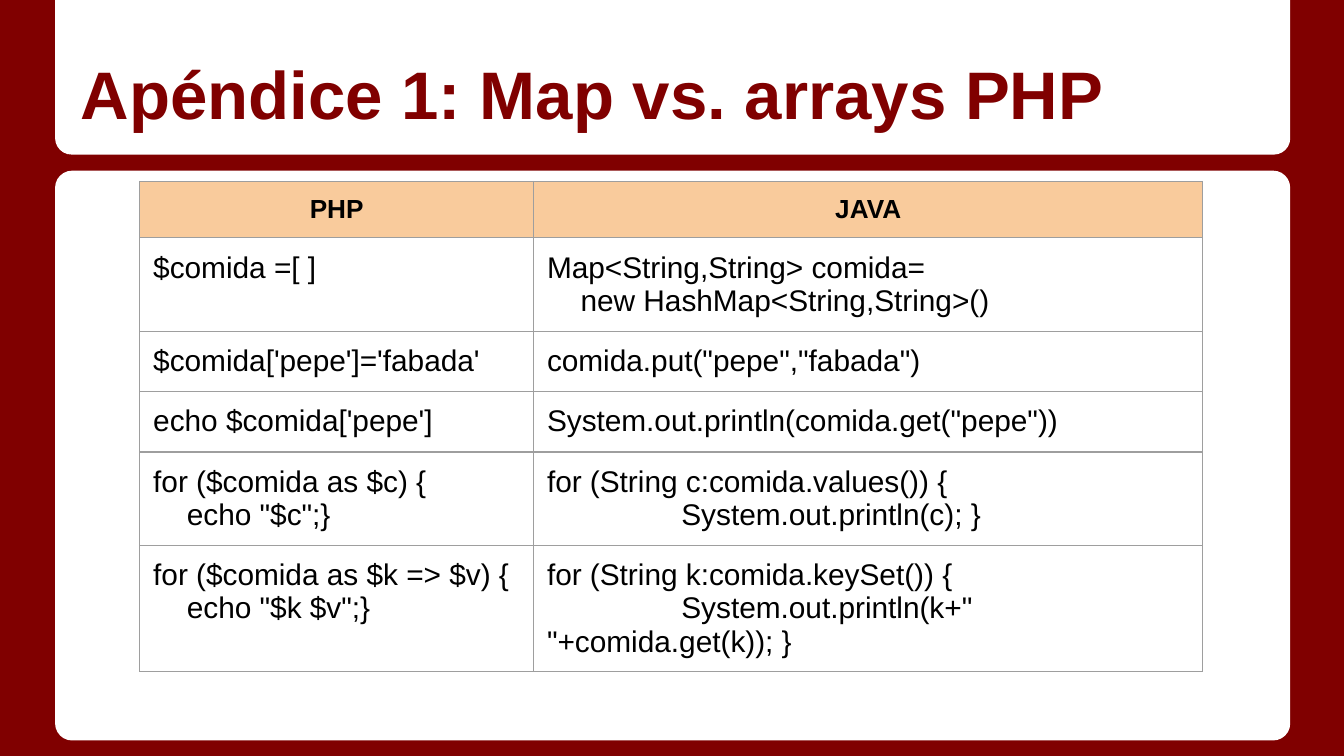
import pptx
import pptx.util
import pptx.dml.color
import pptx.enum.shapes
import pptx.enum.text
import pptx.oxml
import pptx.oxml.ns

Inches, Pt = pptx.util.Inches, pptx.util.Pt
COLORS = {"maroon": "800000", "panel": "FFFFFF", "header": "F9CB9C",
          "text": "000000", "border": "9E9E9E"}
FONT = "Arial"
INSET = 0.1


def paint(fill, name):
    fill.solid()
    fill.fore_color.rgb = pptx.dml.color.RGBColor.from_string(COLORS[name])


def add_span(para, text, size, color, bold):
    span = para.add_run()
    span.text = text
    span.font.name = FONT
    span.font.size = Pt(size)
    span.font.bold = bold
    paint(span.font.fill, color)


# Deck and page in 16:9
deck = pptx.Presentation()
deck.slide_width, deck.slide_height = Inches(10), Inches(10 * 9 / 16)
page = deck.slides.add_slide(deck.slide_layouts[5])
paint(page.background.fill, "maroon")

# White panels, the upper one with its round corners at the bottom
SHAPES = pptx.enum.shapes.MSO_SHAPE
panels = [(SHAPES.ROUNDED_RECTANGLE, 1.27, 4.24, 0, [0.03]),
          (SHAPES.ROUND_2_SAME_RECTANGLE, 0, 1.15, 180, [0.106, 0])]
for kind, top, height, rotation, corners in panels:
    panel = page.shapes.add_shape(kind, Inches(0.41), Inches(top), Inches(9.19), Inches(height))
    panel.rotation = rotation
    for index, corner in enumerate(corners):
        panel.adjustments[index] = corner
    panel.shadow.inherit = False
    paint(panel.fill, "panel")
    panel.line.fill.background()

# Title, brought in front of the panels
title = page.shapes.title
title.left, title.top, title.width, title.height = map(Inches, (0.5, 0.15, 9, 0.94))
page.shapes._spTree.append(title._element)
box = title.text_frame
box.auto_size = pptx.enum.text.MSO_AUTO_SIZE.NONE
box.vertical_anchor = pptx.enum.text.MSO_ANCHOR.BOTTOM
box.margin_left = box.margin_right = box.margin_top = box.margin_bottom = Inches(INSET)
box.paragraphs[0].alignment = pptx.enum.text.PP_ALIGN.LEFT
add_span(box.paragraphs[0], "Apéndice 1: Map vs. arrays PHP", 36, "maroon", True)

# Comparison table: each cell is a list of lines
rows = [
    (["PHP"], ["JAVA"]),
    (["$comida =[ ]"], ["Map<String,String> comida=", "new HashMap<String,String>()"]),
    (["$comida['pepe']='fabada'"], ['comida.put("pepe","fabada")']),
    (["echo $comida['pepe']"], ['System.out.println(comida.get("pepe"))']),
    (["for ($comida as $c) {", 'echo "$c";}'],
     ["for (String c:comida.values()) {", "System.out.println(c); }"]),
    (["for ($comida as $k => $v) {", 'echo "$k $v";}'],
     ["for (String k:comida.keySet()) {", 'System.out.println(k+" "+comida.get(k)); }']),
]
widths = [2.93, 4.98]
heights = [0.42, 0.69, 0.45, 0.45, 0.69, 0.94]
frame = page.shapes.add_table(len(rows), len(widths), Inches(1.04), Inches(1.35),
                              Inches(sum(widths)), Inches(sum(heights)))
table = frame.table
table.first_row = table.horz_banding = False
for column, width in zip(table.columns, widths):
    column.width = Inches(width)

for r, (cells, height) in enumerate(zip(rows, heights)):
    table.rows[r].height = Inches(height)
    for c, lines in enumerate(cells):
        cell = table.cell(r, c)
        cell.margin_left = cell.margin_right = Inches(INSET)
        cell.margin_top = cell.margin_bottom = Inches(INSET)
        if r == 0:
            paint(cell.fill, "header")
        else:
            cell.fill.background()

        # Cell text; continuation lines get a first-line indent
        for n, line in enumerate(lines):
            para = cell.text_frame.paragraphs[0] if n == 0 else cell.text_frame.add_paragraph()
            if r == 0:
                para.alignment = pptx.enum.text.PP_ALIGN.CENTER
            if n > 0:
                indent = 1 if line.startswith("System") else 0.25
                properties = para._p.get_or_add_pPr()
                properties.set("marL", "0")
                properties.set("indent", str(Inches(indent)))
            add_span(para, line, 14 if r == 0 else 16, "text", r == 0)

        # Cell borders come before the fill
        for position, side in enumerate(["lnL", "lnR", "lnT", "lnB"]):
            border = pptx.oxml.parse_xml(
                f'<a:{side} {pptx.oxml.ns.nsdecls("a")} w="{Pt(0.75)}"><a:solidFill>'
                f'<a:srgbClr val="{COLORS["border"]}"/></a:solidFill></a:{side}>')
            cell._tc.get_or_add_tcPr().insert(position, border)

deck.save("out.pptx")
